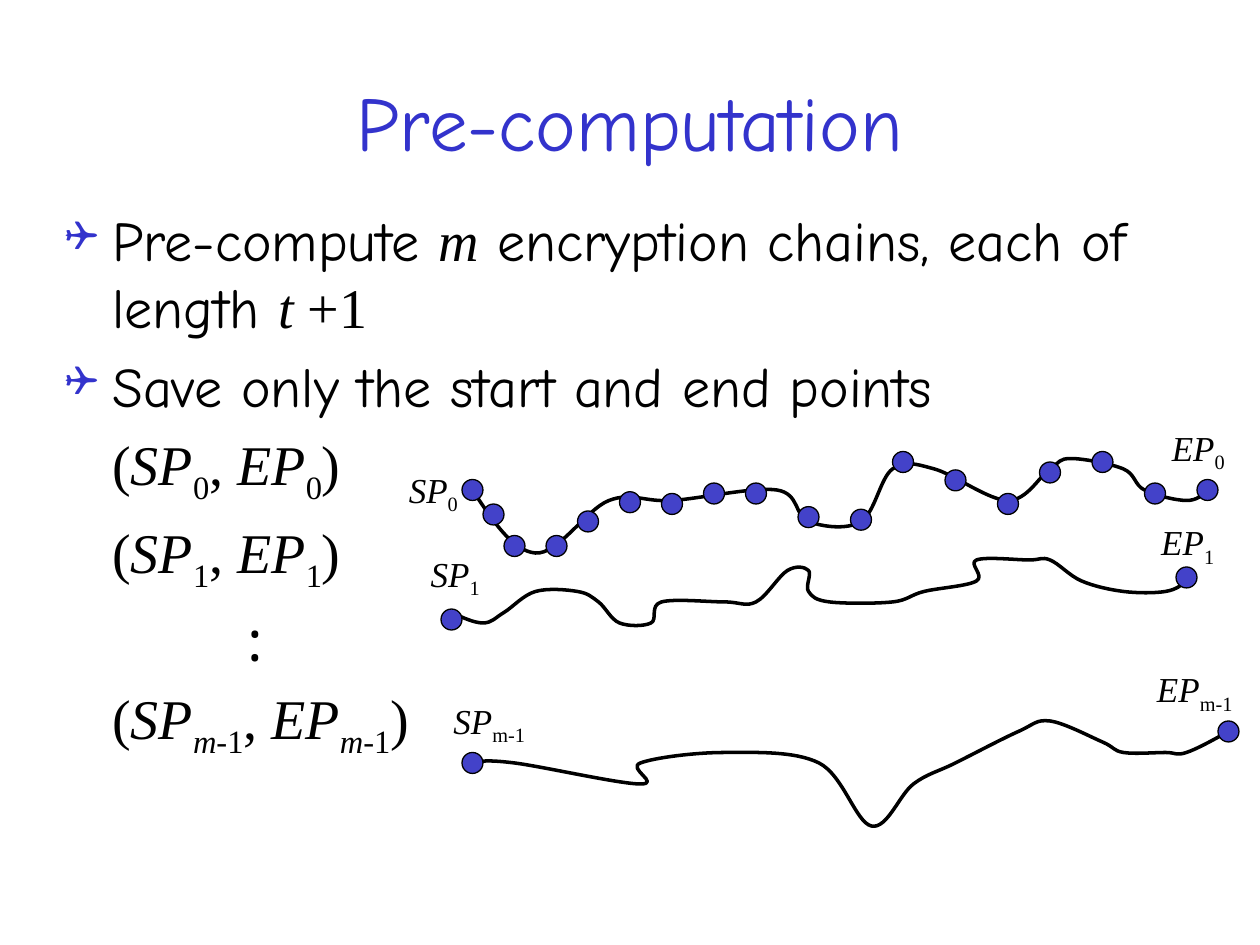
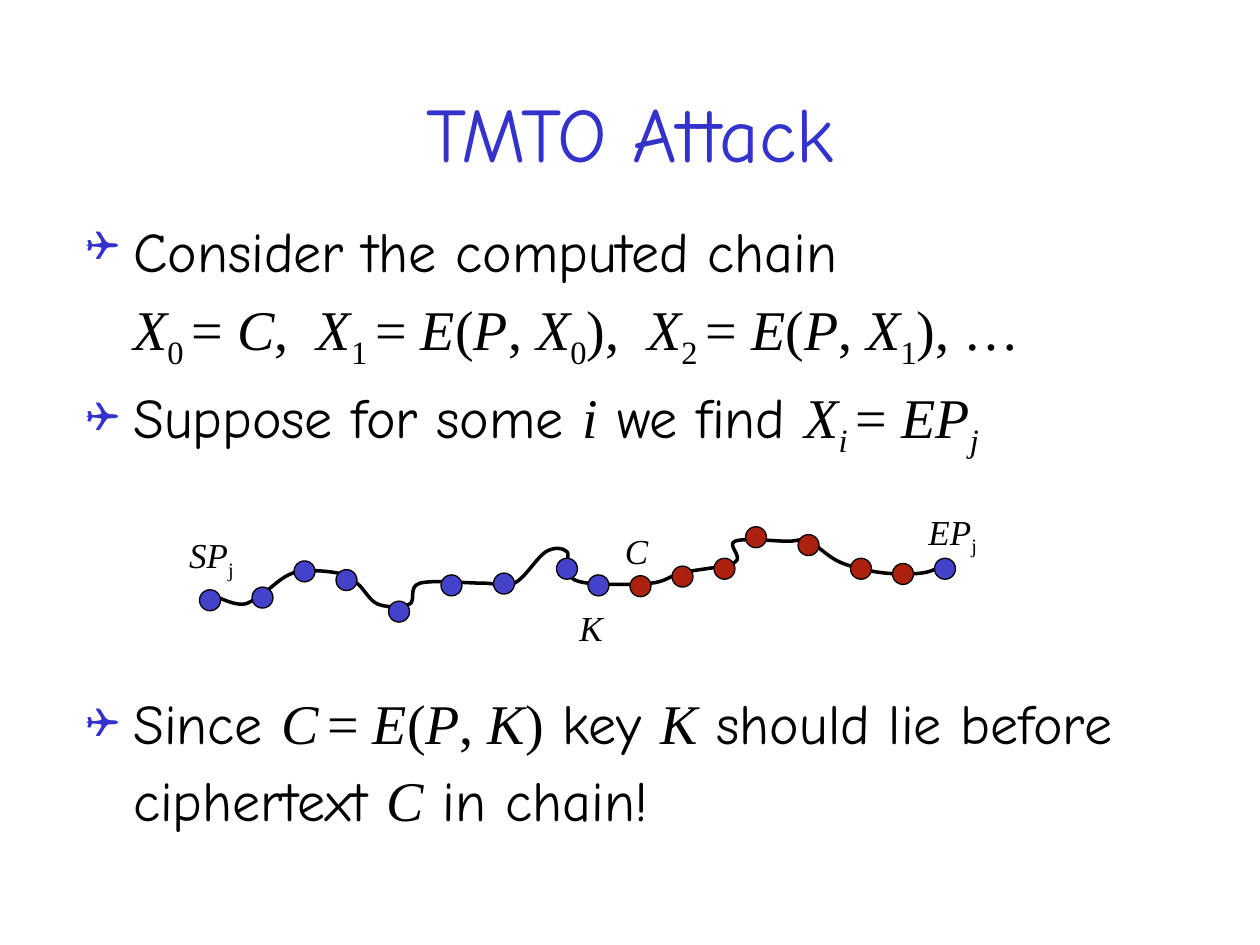
from pptx import Presentation
from pptx import util as u
from pptx.dml.color import RGBColor
from pptx.enum import shapes, text
from pptx.oxml.ns import qn
from lxml import etree

Pt = u.Pt
COMIC, ROMAN, MONO = "Comic Neue", "Times New Roman", "Noto Sans Mono"
BLACK, TITLE_BLUE, DOT_BLUE, DOT_RED = "000000", "3333CC", "4342C9", "AC210D"
BODY_SIZE, LABEL_SIZE, DOT_SIZE = 32, 20, 12
HANG = 27

# Run styles: font, italic, subscript
PLAIN = (COMIC, False, False)
MATH = (ROMAN, False, False)
VAR = (ROMAN, True, False)
SUB = (ROMAN, False, True)
SUB_VAR = (ROMAN, True, True)
COLON = (MONO, False, False)


def color(value):
    return RGBColor.from_string(value)


def indexed(name, index, style=SUB):
    """Runs for a variable with a subscript."""
    return [(name, VAR), (index, style)]


def encryption(*key):
    """Runs for E(P, key)."""
    return [("E", VAR), ("(", MATH), ("P", VAR), (", ", MATH), *key, (")", MATH)]


def end_pair(*index):
    """Runs for a stored pair of start and end points."""
    return [("(", MATH), ("SP", VAR), *index, (", ", MATH),
            ("EP", VAR), *index, (")", MATH)]


def bezier_segments(nodes):
    """Two control points and an end for each step of a smooth curve."""
    def middle(a, b):
        return tuple((p + q) / 2 for p, q in zip(a, b))

    slopes = [tuple((c - a) / 6 for a, c in zip(before, after))
              for before, after in zip(nodes, nodes[2:])]
    leaving = [tuple(p + s for p, s in zip(node, slope))
               for node, slope in zip(nodes[1:], slopes)]
    arriving = [tuple(p - s for p, s in zip(node, slope))
                for node, slope in zip(nodes[1:], slopes)]
    leaving.insert(0, middle(nodes[0], arriving[0]))
    arriving.append(middle(nodes[-1], leaving[-1]))
    return zip(leaving, arriving, nodes[1:])


class Deck:
    """Holds the presentation, its style and the current slide."""

    def __init__(self):
        self.presentation = Presentation()
        self.presentation.slide_width = Pt(720)
        self.presentation.slide_height = Pt(540)
        self.slide = None

    def add_slide(self, title, title_height):
        layout = self.presentation.slide_layouts[5]
        self.slide = self.presentation.slides.add_slide(layout)
        shape = self.slide.shapes.title
        shape.left, shape.top = Pt(54), Pt(30)
        shape.width, shape.height = Pt(612), Pt(title_height)
        frame = shape.text_frame
        frame.text = title
        frame.vertical_anchor = text.MSO_ANCHOR.MIDDLE
        paragraph = frame.paragraphs[0]
        paragraph.alignment = text.PP_ALIGN.CENTER
        font = paragraph.runs[0].font
        font.name, font.size = COMIC, Pt(44)
        font.color.rgb = color(TITLE_BLUE)

    def fill_paragraph(self, paragraph, runs, size):
        for words, (name, italic, subscript) in runs:
            run = paragraph.add_run()
            run.text = words
            run.font.name, run.font.size = name, Pt(size)
            run.font.italic = italic
            run.font.color.rgb = color(BLACK)
            if subscript:
                run._r.get_or_add_rPr().set("baseline", "-25000")

    def indent(self, paragraph, margin, bullet):
        properties = paragraph._p.get_or_add_pPr()
        properties.set("marL", str(Pt(margin)))
        properties.set("indent", str(Pt(-HANG if bullet else 0)))
        if bullet:
            bullet_color = etree.SubElement(properties, qn("a:buClr"))
            etree.SubElement(bullet_color, qn("a:srgbClr"), val=TITLE_BLUE)
            etree.SubElement(properties, qn("a:buSzPct"), val="75000")
            etree.SubElement(properties, qn("a:buFont"), typeface="Wingdings")
            etree.SubElement(properties, qn("a:buChar"), char="❑")

    def body(self, left, top, width, height, items):
        """Add paragraphs, each given as (runs, left margin, bullet)."""
        box = self.slide.shapes.add_textbox(Pt(left), Pt(top), Pt(width), Pt(height))
        frame = box.text_frame
        frame.word_wrap = True
        for number, (runs, margin, bullet) in enumerate(items):
            paragraph = frame.add_paragraph() if number else frame.paragraphs[0]
            paragraph.space_before = Pt(BODY_SIZE * 0.2)
            self.indent(paragraph, margin, bullet)
            self.fill_paragraph(paragraph, runs, BODY_SIZE)

    def label(self, left, top, width, runs):
        box = self.slide.shapes.add_textbox(Pt(left), Pt(top), Pt(width), Pt(31))
        box.text_frame.word_wrap = False
        self.fill_paragraph(box.text_frame.paragraphs[0], runs, LABEL_SIZE)

    def curve(self, nodes):
        """Draw a freeform through the nodes and bend its segments."""
        first, *rest = [(Pt(x), Pt(y)) for x, y in nodes]
        builder = self.slide.shapes.build_freeform(*first)
        builder.add_line_segments(rest, close=False)
        shape = builder.convert_to_shape()
        shape.shadow.inherit = False
        shape.fill.background()
        shape.line.color.rgb = color(BLACK)
        shape.line.width = Pt(2)
        lines = list(shape._element.iter(qn("a:lnTo")))
        for line, segment in zip(lines, bezier_segments(nodes)):
            bend = etree.Element(qn("a:cubicBezTo"))
            for x, y in segment:
                etree.SubElement(bend, qn("a:pt"), x=str(Pt(x) - shape.left),
                                 y=str(Pt(y) - shape.top))
            line.getparent().replace(line, bend)

    def dots(self, centers, fill=DOT_BLUE):
        for x, y in centers:
            shape = self.slide.shapes.add_shape(
                shapes.MSO_SHAPE.OVAL, Pt(x - DOT_SIZE / 2), Pt(y - DOT_SIZE / 2),
                Pt(DOT_SIZE), Pt(DOT_SIZE))
            shape.shadow.inherit = False
            shape.fill.solid()
            shape.fill.fore_color.rgb = color(fill)
            shape.line.color.rgb = color(BLACK)
            shape.line.width = Pt(0.75)


FIRST_CHAIN = [
    (270, 280), (306, 316), (348, 286), (384, 286), (444, 280), (462, 298),
    (492, 298), (510, 268), (534, 268), (576, 286), (600, 268), (612, 262),
    (642, 268), (654, 280), (678, 286), (690, 280)]
SECOND_CHAIN = [
    (258, 350), (276, 356), (288, 350), (306, 338), (330, 338), (342, 344),
    (354, 356), (372, 356), (378, 344), (414, 344), (432, 344), (450, 326),
    (462, 326), (462, 338), (474, 344), (510, 344), (528, 338), (558, 332),
    (558, 320), (588, 320), (600, 320), (618, 332), (642, 338), (666, 338),
    (678, 332)]
LAST_CHAIN = [
    (270, 436), (294, 436), (366, 448), (366, 436), (414, 430), (468, 436),
    (498, 472), (522, 448), (546, 436), (582, 418), (600, 412), (630, 424),
    (642, 430), (666, 430), (678, 430), (702, 418)]
FIRST_CHAIN_DOTS = [
    (270, 280), (282, 294), (294, 312), (318, 312), (336, 298), (360, 287),
    (384, 288), (408, 282), (432, 282), (462, 295.5), (492, 297), (516, 264),
    (546, 274.5), (576, 288), (600, 270), (630, 264), (660, 282), (690, 280)]
OTHER_END_DOTS = [(258, 354), (678, 330), (270, 436), (702, 418)]
DOTS_BEFORE_C = [
    (120, 343), (150, 341.5), (174, 326.5), (198, 331.5), (228, 349.5),
    (258, 334.5), (288, 333.5), (324, 325), (342, 334.5)]
DOTS_FROM_C = [
    (366, 335), (390, 329.5), (414, 325), (432, 307), (462, 311.5),
    (492, 325), (516, 328)]
END_DOT = (540, 325)


def precomputation(deck):
    deck.add_slide("Pre-computation", 78)
    deck.body(30, 114, 630, 342, [
        ([("Pre-compute ", PLAIN), ("m", VAR),
          (" encryption chains, each of length ", PLAIN),
          ("t ", VAR), ("+1", MATH)], HANG, True),
        ([("Save only the start and end points", PLAIN)], HANG, True),
        (end_pair(("0", SUB)), HANG, False),
        (end_pair(("1", SUB)), HANG, False),
        ([(":", COLON)], HANG + 72, False),
        (end_pair(("m", SUB_VAR), ("-1", SUB)), HANG, False),
    ])
    for chain in (FIRST_CHAIN, SECOND_CHAIN, LAST_CHAIN):
        deck.curve(chain)
    for left, top, width, name, index in (
            (226.5, 264, 43, "SP", "0"), (662.5, 240, 45, "EP", "0"),
            (239, 312, 43, "SP", "1"), (656.5, 294, 45, "EP", "1"),
            (252, 396, 58, "SP", "m-1"), (654, 378, 60, "EP", "m-1")):
        deck.label(left, top, width, indexed(name, index))
    deck.dots(FIRST_CHAIN_DOTS + OTHER_END_DOTS)


def attack(deck):
    deck.add_slide("TMTO Attack", 90)
    deck.body(42, 120, 636, 168, [
        ([("Consider the computed chain", PLAIN)], HANG, True),
        (indexed("X", "0 ") + [("= ", MATH), ("C", VAR), (",  ", MATH)]
         + indexed("X", "1 ") + [("= ", MATH)] + encryption(*indexed("X", "0"))
         + [(",  ", MATH)]
         + indexed("X", "2 ") + [("= ", MATH)] + encryption(*indexed("X", "1"))
         + [(", …", MATH)], HANG, False),
        ([("Suppose for some ", PLAIN), ("i", VAR), (" we find ", PLAIN)]
         + indexed("X", "i ", SUB_VAR) + [("= ", MATH)]
         + indexed("EP", "j", SUB_VAR), HANG, True),
    ])
    deck.curve([(x - 138, y - 10.7) for x, y in SECOND_CHAIN])
    deck.label(101, 301.5, 40, indexed("SP", "j"))
    deck.label(523.5, 288, 42, indexed("EP", "j"))
    deck.label(350, 299, 28, [("C", VAR)])
    deck.label(324, 343, 28, [("K", VAR)])
    deck.dots(DOTS_BEFORE_C + [END_DOT])
    deck.dots(DOTS_FROM_C, DOT_RED)
    deck.body(42, 390, 648, 90, [
        ([("Since ", PLAIN)] + indexed("C", " ", SUB_VAR) + [("= ", MATH)]
         + encryption(("K", VAR))
         + [(" key ", PLAIN), ("K", VAR),
            (" should lie before ciphertext ", PLAIN), ("C", VAR),
            (" in chain!", PLAIN)], HANG, True)])


def main():
    deck = Deck()
    precomputation(deck)
    attack(deck)
    deck.presentation.save("out.pptx")


if __name__ == "__main__":
    main()
